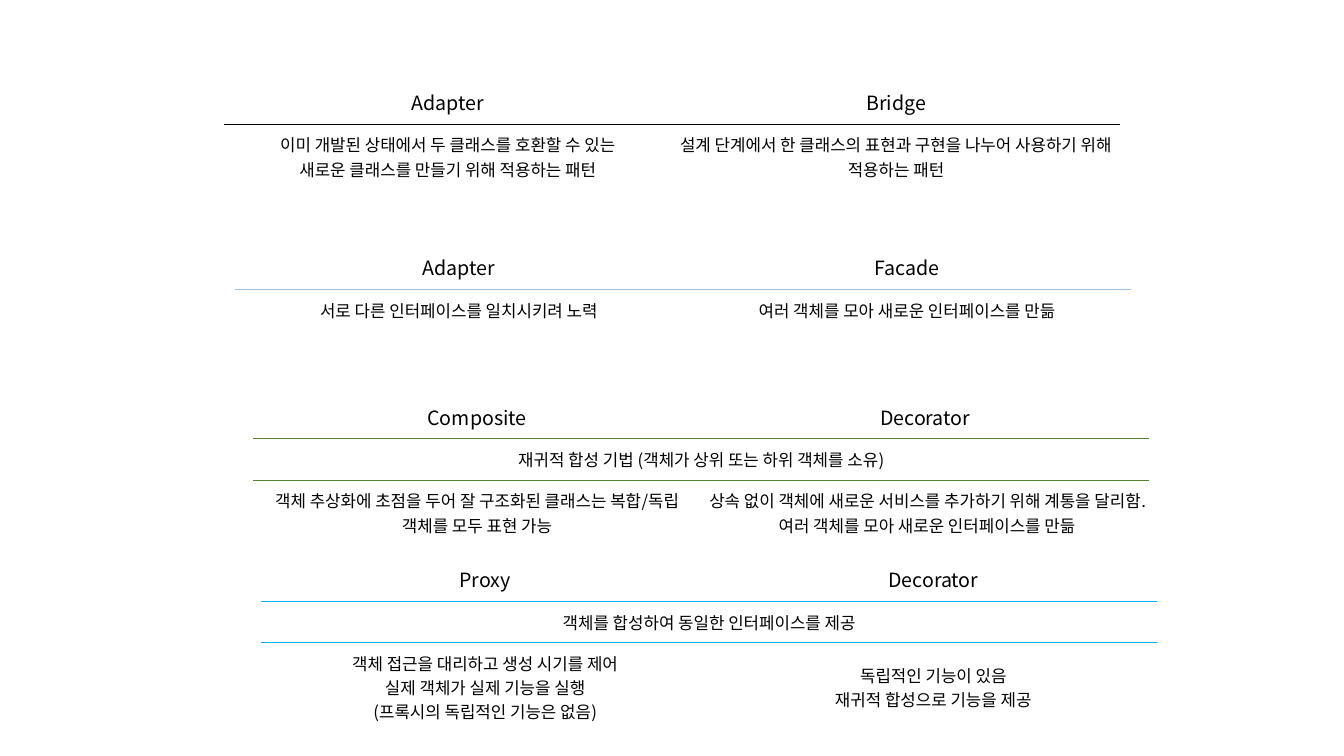
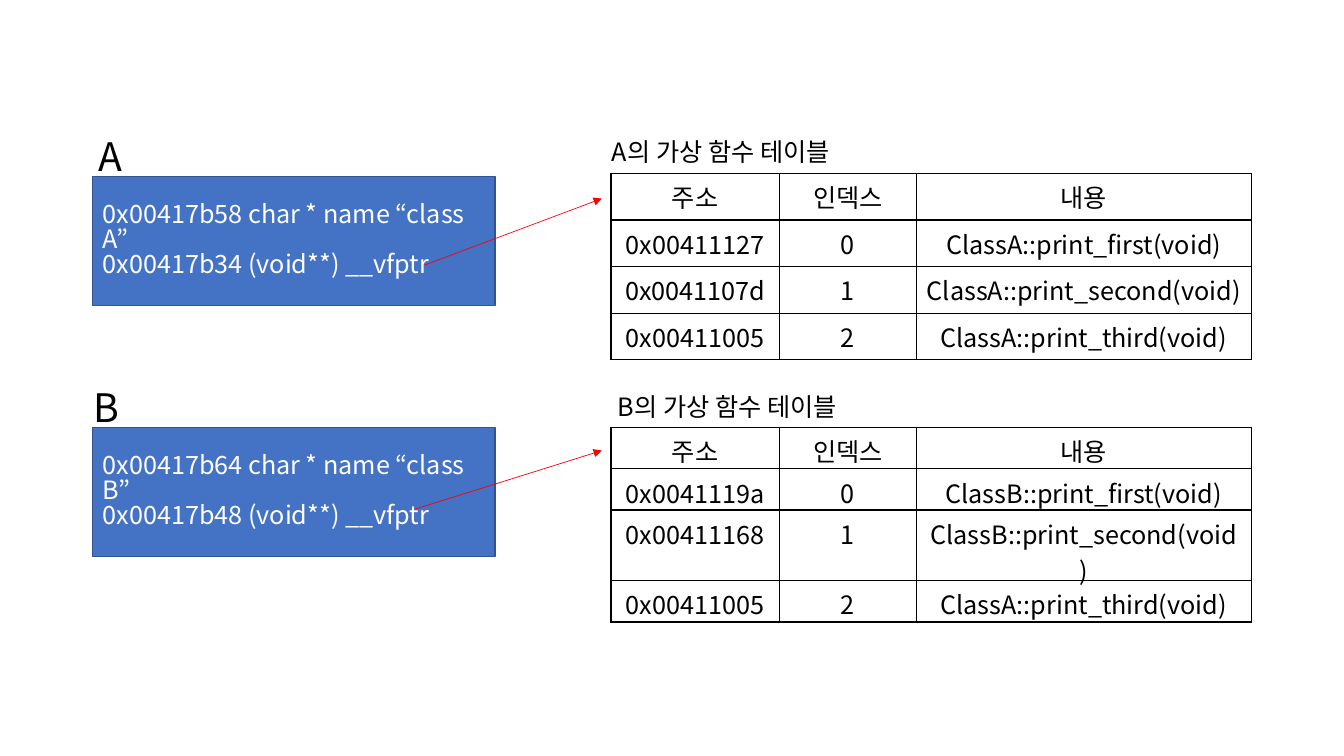
import pptx
import pptx.dml.color
import pptx.enum.shapes
import pptx.enum.text
import pptx.oxml
import pptx.oxml.ns
import pptx.util
from lxml import etree

Inches = pptx.util.Inches
Pt = pptx.util.Pt
RGBColor = pptx.dml.color.RGBColor
qn = pptx.oxml.ns.qn
CENTER = pptx.enum.text.PP_ALIGN.CENTER
LEFT = pptx.enum.text.PP_ALIGN.LEFT
MIDDLE = pptx.enum.text.MSO_ANCHOR.MIDDLE

FONT = "Noto Sans CJK KR"
BLACK = RGBColor(0x00, 0x00, 0x00)
WHITE = RGBColor(0xFF, 0xFF, 0xFF)
RED = RGBColor(0xFF, 0x00, 0x00)
BLUE = RGBColor(0x44, 0x72, 0xC4)
DARK_BLUE = RGBColor(0x32, 0x54, 0x91)
PALE_BLUE = RGBColor(0x9D, 0xC3, 0xE6)
GREEN = RGBColor(0x54, 0x82, 0x35)
SKY_BLUE = RGBColor(0x00, 0xB0, 0xF0)
ROW_HEIGHT = Inches(0.41)


def write_text(text_frame, text, size, color=BLACK, alignment=LEFT):
    text_frame.text = text
    text_frame.word_wrap = True
    for paragraph in text_frame.paragraphs:
        paragraph.alignment = alignment
        paragraph.font.name = FONT
        paragraph.font.size = Pt(size)
        paragraph.font.bold = False
        paragraph.font.color.rgb = color
        properties = paragraph._p.pPr.find(qn("a:defRPr"))
        etree.SubElement(properties, qn("a:ea")).set("typeface", FONT)


def format_cell(cell, sides, color):
    """Draw 1 pt borders on the given sides (of L, R, T, B) and clear the fill."""
    properties = cell._tc.get_or_add_tcPr()
    for side in "LRTB":
        line = etree.SubElement(properties, qn("a:ln" + side))
        if side in sides:
            line.set("w", str(Pt(1)))
            fill = etree.SubElement(line, qn("a:solidFill"))
            etree.SubElement(fill, qn("a:srgbClr")).set("val", str(color))
        else:
            etree.SubElement(line, qn("a:noFill"))
    cell.fill.background()


presentation = pptx.Presentation()
presentation.slide_width = Inches(13.33)
presentation.slide_height = Inches(7.5)
blank_layout = presentation.slide_layouts[6]

# Slide 1: comparisons of design patterns; a row with one text spans both columns
comparisons = [
    (2.22, 0.79, BLACK, [
        ["Adapter", "Bridge"],
        ["이미 개발된 상태에서 두 클래스를 호환할 수 있는\v새로운 클래스를 만들기 위해 적용하는 패턴",
         "설계 단계에서 한 클래스의 표현과 구현을 나누어 사용하기 위해 적용하는 패턴"],
    ]),
    (2.33, 2.43, PALE_BLUE, [
        ["Adapter", "Facade"],
        ["서로 다른 인터페이스를 일치시키려 노력", "여러 객체를 모아 새로운 인터페이스를 만듦"],
    ]),
    (2.51, 3.91, GREEN, [
        ["Composite", "Decorator"],
        ["재귀적 합성 기법 (객체가 상위 또는 하위 객체를 소유)"],
        ["객체 추상화에 초점을 두어 잘 구조화된 클래스는 복합/독립 객체를 모두 표현 가능",
         "상속 없이 객체에 새로운 서비스를 추가하기 위해 계통을 달리함. 여러 객체를 모아 새로운 인터페이스를 만듦"],
    ]),
    (2.59, 5.52, SKY_BLUE, [
        ["Proxy", "Decorator"],
        ["객체를 합성하여 동일한 인터페이스를 제공"],
        ["객체 접근을 대리하고 생성 시기를 제어\v실제 객체가 실제 기능을 실행\n(프록시의 독립적인 기능은 없음)",
         "독립적인 기능이 있음\v재귀적 합성으로 기능을 제공"],
    ]),
]

slide = presentation.slides.add_slide(blank_layout)
for left, top, color, rows in comparisons:
    table = slide.shapes.add_table(
        len(rows), 2, Inches(left), Inches(top), Inches(8.89), ROW_HEIGHT * len(rows)).table
    table.first_row = False
    table.horz_banding = False
    for row_index, texts in enumerate(rows):
        table.rows[row_index].height = ROW_HEIGHT
        sides = ("T" if row_index > 0 else "") + ("B" if row_index < len(rows) - 1 else "")
        for column_index in range(2):
            format_cell(table.cell(row_index, column_index), sides, color)
        if len(texts) == 1:
            table.cell(row_index, 0).merge(table.cell(row_index, 1))
        for column_index, text in enumerate(texts):
            cell = table.cell(row_index, column_index)
            cell.vertical_anchor = MIDDLE
            cell.margin_left = cell.margin_right = Inches(0.08)
            cell.margin_top = cell.margin_bottom = Inches(0.08)
            write_text(cell.text_frame, text, 14 if row_index == 0 else 12, alignment=CENTER)

# Slide 2: objects pointing to their virtual function tables
classes = [
    {"name": "A", "name_at": (0.88, 1.26), "object_top": 1.75,
     "memory": "0x00417b58 char * name “class A”\n0x00417b34 (void**) __vfptr",
     "arrow": (4.21, 2.63, 5.97, 1.97), "caption_at": (5.97, 1.3), "table_top": 1.72,
     "functions": [("0x00411127", "ClassA::print_first(void)"),
                   ("0x0041107d", "ClassA::print_second(void)"),
                   ("0x00411005", "ClassA::print_third(void)")]},
    {"name": "B", "name_at": (0.83, 3.75), "object_top": 4.24,
     "memory": "0x00417b64 char * name “class B”\n0x00417b48 (void**) __vfptr",
     "arrow": (4.12, 5.05, 5.97, 4.47), "caption_at": (6.03, 3.83), "table_top": 4.24,
     "functions": [("0x0041119a", "ClassB::print_first(void)"),
                   ("0x00411168", "ClassB::print_second(void)"),
                   ("0x00411005", "ClassA::print_third(void)")]},
]
column_widths = [1.67, 1.36, 3.32]

slide = presentation.slides.add_slide(blank_layout)
for entry in classes:
    # Function table
    rows = [("주소", "인덱스", "내용")]
    rows += [(address, str(index), function)
             for index, (address, function) in enumerate(entry["functions"])]
    table = slide.shapes.add_table(
        len(rows), 3, Inches(6.06), Inches(entry["table_top"]),
        Inches(sum(column_widths)), ROW_HEIGHT * len(rows)).table
    table.first_row = False
    table.horz_banding = False
    for column, width in zip(table.columns, column_widths):
        column.width = Inches(width)
    for row_index, texts in enumerate(rows):
        table.rows[row_index].height = ROW_HEIGHT
        for column_index, text in enumerate(texts):
            cell = table.cell(row_index, column_index)
            format_cell(cell, "LRTB", BLACK)
            write_text(cell.text_frame, text, 18, alignment=CENTER)

    # Object in memory
    shape = slide.shapes.add_shape(
        pptx.enum.shapes.MSO_SHAPE.RECTANGLE,
        Inches(0.92), Inches(entry["object_top"]), Inches(3.99), Inches(1.28))
    shape.shadow.inherit = False
    shape.fill.solid()
    shape.fill.fore_color.rgb = BLUE
    shape.line.color.rgb = DARK_BLUE
    shape.line.width = Pt(1)
    shape.text_frame.vertical_anchor = MIDDLE
    write_text(shape.text_frame, entry["memory"], 18, WHITE)
    for paragraph in shape.text_frame.paragraphs:
        paragraph.line_spacing = 0.82

    # Class name and table caption
    for (left, top), width, height, text, size in [
        (entry["name_at"], 1.28, 0.57, entry["name"], 28),
        (entry["caption_at"], 3.21, 0.4, entry["name"] + "의 가상 함수 테이블", 18),
    ]:
        label = slide.shapes.add_textbox(Inches(left), Inches(top), Inches(width), Inches(height))
        write_text(label.text_frame, text, size)

    # Arrow from the pointer to the table
    arrow = slide.shapes.add_connector(
        pptx.enum.shapes.MSO_CONNECTOR.STRAIGHT, *[Inches(value) for value in entry["arrow"]])
    arrow.line.color.rgb = RED
    arrow.line.width = Pt(0.5)
    etree.SubElement(arrow.line._get_or_add_ln(), qn("a:tailEnd")).set("type", "triangle")
    etree.SubElement(arrow._element.spPr, qn("a:effectLst"))

presentation.save("out.pptx")
